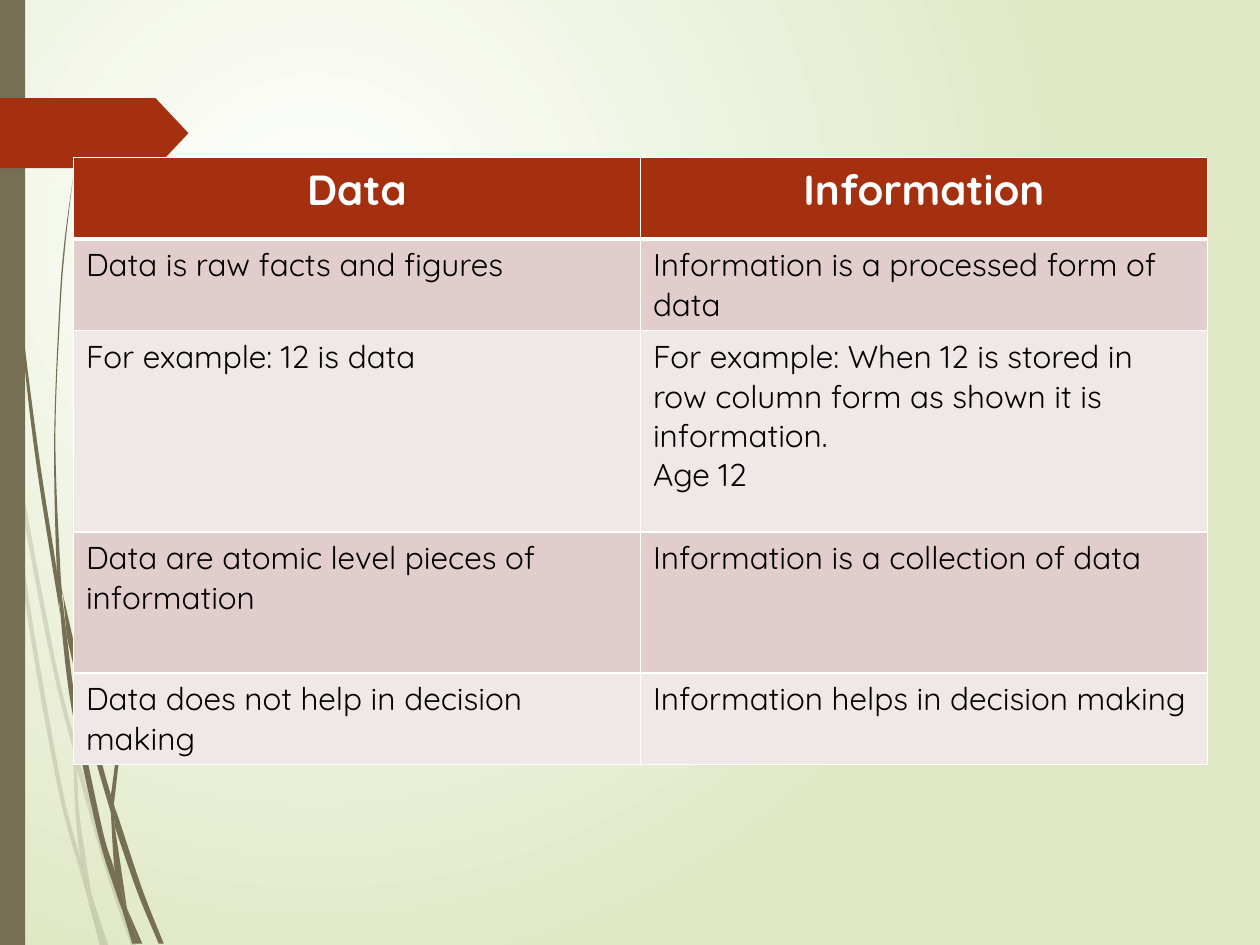
from pptx import Presentation
from pptx import util as u
from pptx.dml.color import RGBColor
from pptx.enum import shapes, text
from pptx.oxml import parse_xml
from pptx.oxml.ns import nsdecls, qn

FONT = "Quicksand"
OLIVE, RUST, WHITE, BLACK = "766F54", "A53010", "FFFFFF", "000000"
BANDS = ("E1CDCC", "F0E8E7")
ROWS = [
    ("Data", "Information"),
    ("Data is raw facts and figures", "Information is a processed form of data"),
    ("For example: 12 is data",
     "For example: When 12 is stored in row column form as shown it is information.\nAge 12"),
    ("Data are atomic level pieces of information", "Information is a collection of data"),
    ("Data does not help in decision making", "Information helps in decision making"),
]
ROW_HEIGHTS = (1.65, 1.65, 4.06, 2.84, 1.65)

# Each grass blade is two sides running between the same ends, in hundredths of an inch.
PALE_BLADES = [
    ([(0, 282), (6, 322), (8, 350)], [(0, 299), (7, 344), (8, 350)]),
    ([(10, 345), (43, 520), (59, 586)], [(12, 376), (40, 522), (59, 599)]),
    ([(61, 596), (64, 607), (88, 692), (108, 750)], [(61, 610), (85, 694), (104, 750)]),
    ([(73, 711), (86, 750)], [(73, 711), (83, 750)]),
    ([(8, 350), (12, 376), (22, 469), (48, 619), (64, 683), (70, 714)],
     [(8, 350), (19, 470), (45, 621), (64, 693), (70, 714)]),
    ([(58, 599), (61, 608), (63, 646), (72, 706), (73, 711)],
     [(58, 599), (60, 646), (64, 683), (67, 692), (73, 711)]),
    ([(59, 586), (59, 584), (75, 461), (110, 348), (158, 244), (186, 197), (217, 153)],
     [(61, 596), (61, 584), (76, 462), (111, 349), (159, 245), (187, 198), (217, 154)]),
    ([(70, 714), (82, 750)], [(70, 714), (79, 750)]),
    ([(59, 586), (61, 596), (61, 610)], [(58, 599), (61, 608), (61, 610)]),
    ([(65, 683), (67, 692), (73, 711), (83, 750)], [(65, 683), (70, 714), (82, 750)]),
]
DARK_BLADES = [
    ([(3, 0), (4, 48), (6, 109), (15, 232), (30, 355), (45, 453), (47, 481)],
     [(2, 0), (3, 48), (5, 110), (14, 233), (27, 355), (46, 477), (47, 481)]),
    ([(50, 472), (77, 590), (88, 631)], [(53, 505), (73, 592), (88, 645)]),
    ([(91, 641), (94, 649), (113, 706), (130, 749)], [(91, 656), (109, 708), (126, 749)]),
    ([(47, 477), (53, 505), (60, 556), (81, 657), (91, 691), (97, 722)],
     [(47, 477), (56, 557), (77, 659), (92, 708), (97, 722)]),
    ([(58, 141), (52, 193), (48, 245), (44, 349), (48, 453), (50, 472)],
     [(58, 141), (51, 193), (47, 245), (43, 349), (45, 449), (49, 472)]),
    ([(100, 719), (113, 749)], [(100, 719), (110, 749)]),
    ([(45, 449), (49, 472), (53, 505)], [(45, 453), (47, 477), (53, 505)]),
    ([(88, 631), (101, 551), (129, 474), (168, 405), (191, 373), (215, 344)],
     [(91, 641), (91, 633), (103, 552), (131, 476), (169, 406), (191, 374), (216, 344)]),
    ([(97, 722), (108, 749)], [(97, 722), (105, 749)]),
    ([(88, 645), (91, 656), (100, 716), (100, 719)], [(88, 645), (91, 691), (96, 706), (100, 719)]),
    ([(88, 631), (91, 641), (91, 656)], [(88, 633), (88, 645), (91, 656)]),
    ([(91, 691), (96, 706), (100, 719), (110, 749)], [(91, 691), (97, 722), (108, 749)]),
]


def color(value):
    return RGBColor.from_string(value)


def bend(line, points):
    """Turn the middle stretch of four points from a straight line into a smooth curve."""
    before, start, end, after = points
    controls = [[s + (e - b) / 6 for b, s, e in zip(before, start, end)],
                [e - (a - s) / 6 for s, e, a in zip(start, end, after)], end]
    marks = "".join(f'<a:pt x="{round(x)}" y="{round(y)}"/>' for x, y in controls)
    line.getparent().replace(line, parse_xml(
        f'<a:cubicBezTo {nsdecls("a")}>{marks}</a:cubicBezTo>'))


def paint(shape, value, opacity=100):
    shape.shadow.inherit = False
    shape.fill.solid()
    shape.fill.fore_color.rgb = color(value)
    shape.line.fill.background()
    if opacity < 100:
        fill = shape.fill._xPr.find(qn("a:solidFill"))
        fill[0].append(parse_xml(f'<a:alpha {nsdecls("a")} val="{opacity * 1000}"/>'))


def add_blade(group, sides, opacity):
    first, second = ([(u.Cm(x * 0.0254), u.Cm(y * 0.0254)) for x, y in side] for side in sides)
    outline = first + second[::-1]
    builder = group.shapes.build_freeform(*outline[0])
    builder.add_line_segments(outline[1:], close=True)
    shape = builder.convert_to_shape()
    left, top = (min(values) for values in zip(*outline))
    lines = shape._element.findall(".//" + qn("a:lnTo"))
    for side, side_lines in ((first, lines), (second[::-1], lines[len(first):])):
        local = [(x - left, y - top) for x, y in side]
        padded = [local[0], *local, local[-1]]
        for line, *points in zip(side_lines, padded, padded[1:], padded[2:], padded[3:]):
            bend(line, points)
    paint(shape, OLIVE, opacity)


def add_block(slide, kind, left, top, width, height, value):
    shape = slide.shapes.add_shape(kind, *map(u.Cm, (left, top, width, height)))
    paint(shape, value)
    return shape


def set_background(slide):
    """Radial gradient, white in the upper left and pale green outside."""
    fill = slide.background.fill
    fill.gradient()
    for stop, value, position in zip(fill.gradient_stops, (WHITE, "DFE8C4"), (0, 1)):
        stop.color.rgb = color(value)
        stop.position = position
    gradient = slide._element.find(".//" + qn("a:gradFill"))
    gradient.replace(gradient.find(qn("a:lin")), parse_xml(
        f'<a:path {nsdecls("a")} path="circle">'
        '<a:fillToRect l="50000" t="50000" r="100000" b="100000"/></a:path>'))


def set_borders(cell, widths):
    properties = cell._tc.get_or_add_tcPr()
    for index, (side, points) in enumerate(widths.items()):
        properties.insert(index, parse_xml(
            f'<a:ln{side} {nsdecls("a")} w="{u.Pt(points)}"><a:solidFill>'
            f'<a:srgbClr val="{WHITE}"/></a:solidFill></a:ln{side}>'))


def format_cell(cell, content, row):
    header = row == 0
    cell.text = content
    cell.fill.solid()
    cell.fill.fore_color.rgb = color(RUST if header else BANDS[(row - 1) % 2])
    set_borders(cell, {"L": 1, "R": 1, "T": 3 if row == 1 else 1, "B": 3 if header else 1})
    font_format = {"name": FONT, "size": u.Pt(24 if header else 18), "bold": header}
    for paragraph in cell.text_frame.paragraphs:
        paragraph.alignment = text.PP_ALIGN.CENTER if header else text.PP_ALIGN.LEFT
        for name, value in font_format.items():
            setattr(paragraph.font, name, value)
        paragraph.font.color.rgb = color(WHITE if header else BLACK)


def add_comparison(slide):
    frame = slide.shapes.add_table(len(ROWS), 2, u.Cm(1.48), u.Cm(3.17),
                                   u.Cm(22.86), u.Cm(sum(ROW_HEIGHTS)))
    for row, (contents, height) in enumerate(zip(ROWS, ROW_HEIGHTS)):
        frame.table.rows[row].height = u.Cm(height)
        for column, content in enumerate(contents):
            format_cell(frame.table.cell(row, column), content, row)


def main():
    presentation = Presentation()
    presentation.slide_width, presentation.slide_height = u.Cm(25.4), u.Cm(19.05)
    slide = presentation.slides.add_slide(presentation.slide_layouts[6])
    set_background(slide)
    for blades, opacity in ((PALE_BLADES, 20), (DARK_BLADES, 100)):
        group = slide.shapes.add_group_shape()
        for sides in blades:
            add_blade(group, sides, opacity)
    add_block(slide, shapes.MSO_SHAPE.RECTANGLE, 0, 0, 0.51, 19.05, OLIVE)
    banner = add_block(slide, shapes.MSO_SHAPE.PENTAGON, 0, 1.98, 3.8, 1.41, RUST)
    banner.adjustments[0] = 0.47
    add_comparison(slide)
    presentation.save("out.pptx")


if __name__ == "__main__":
    main()
